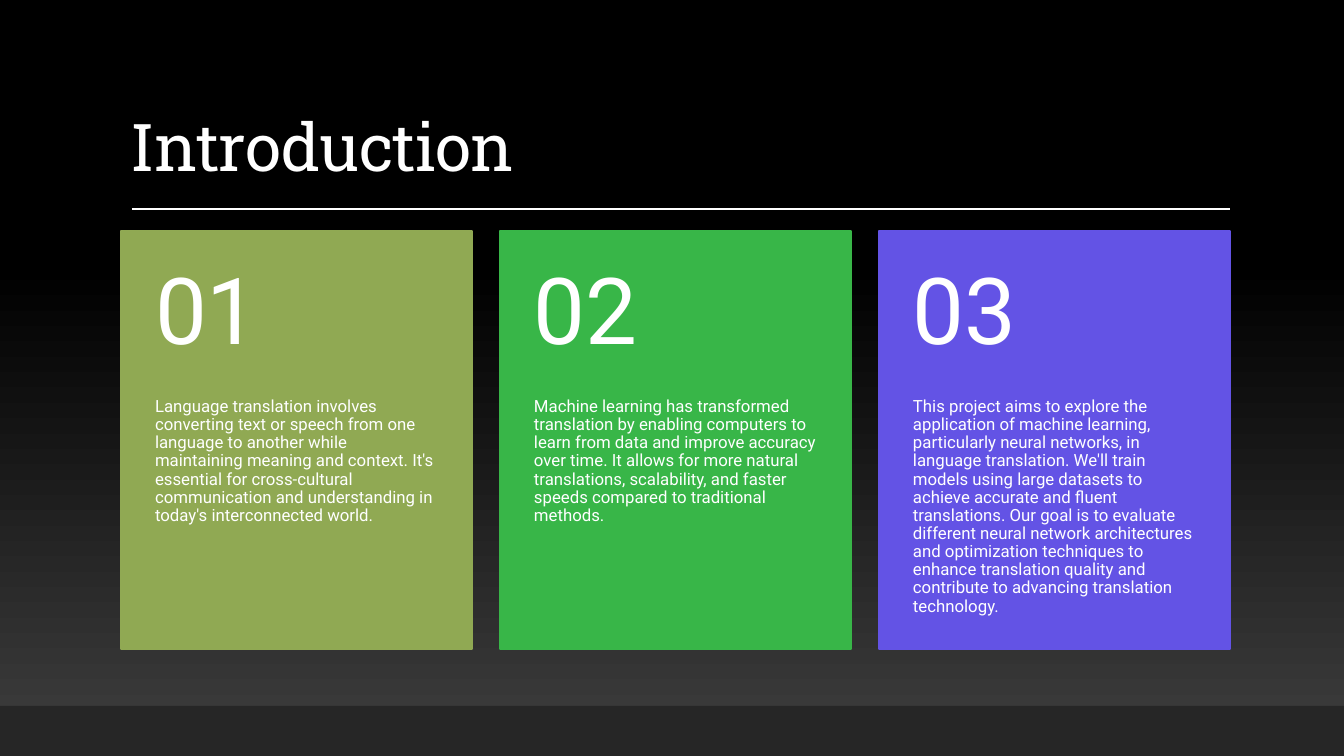
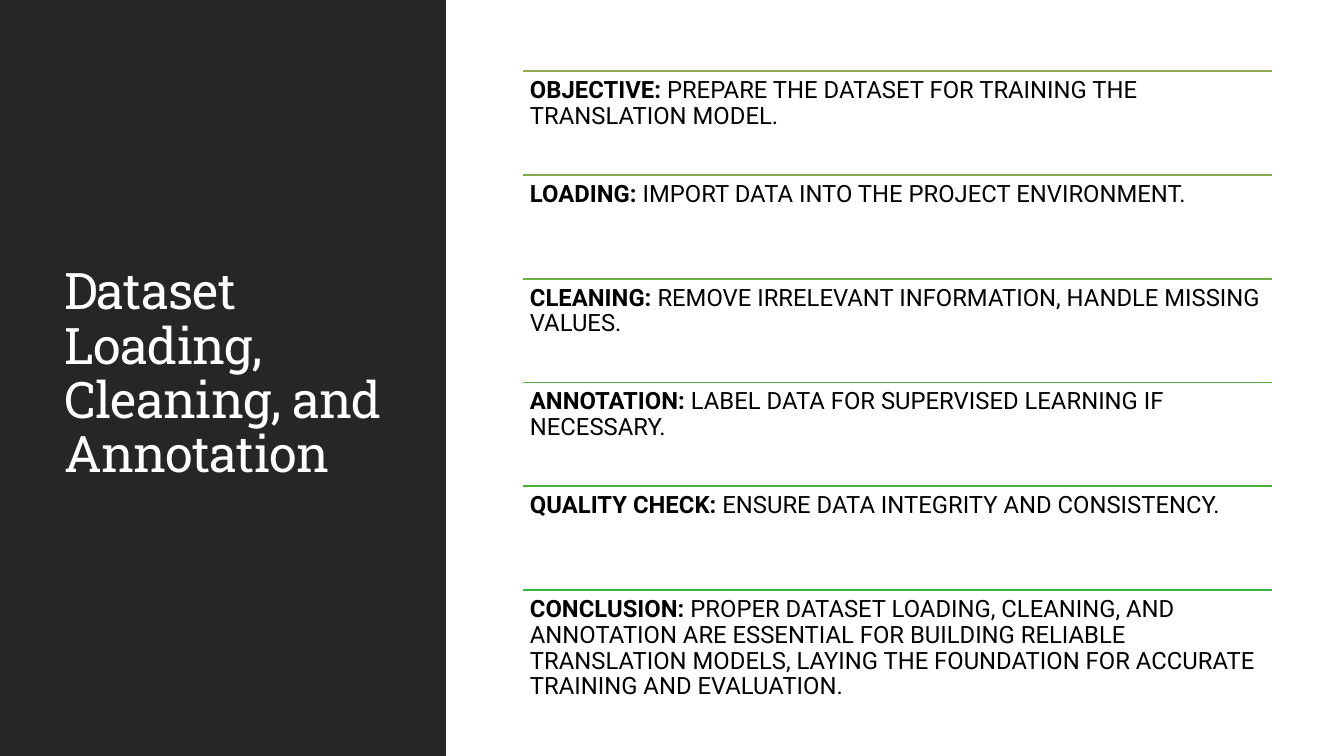
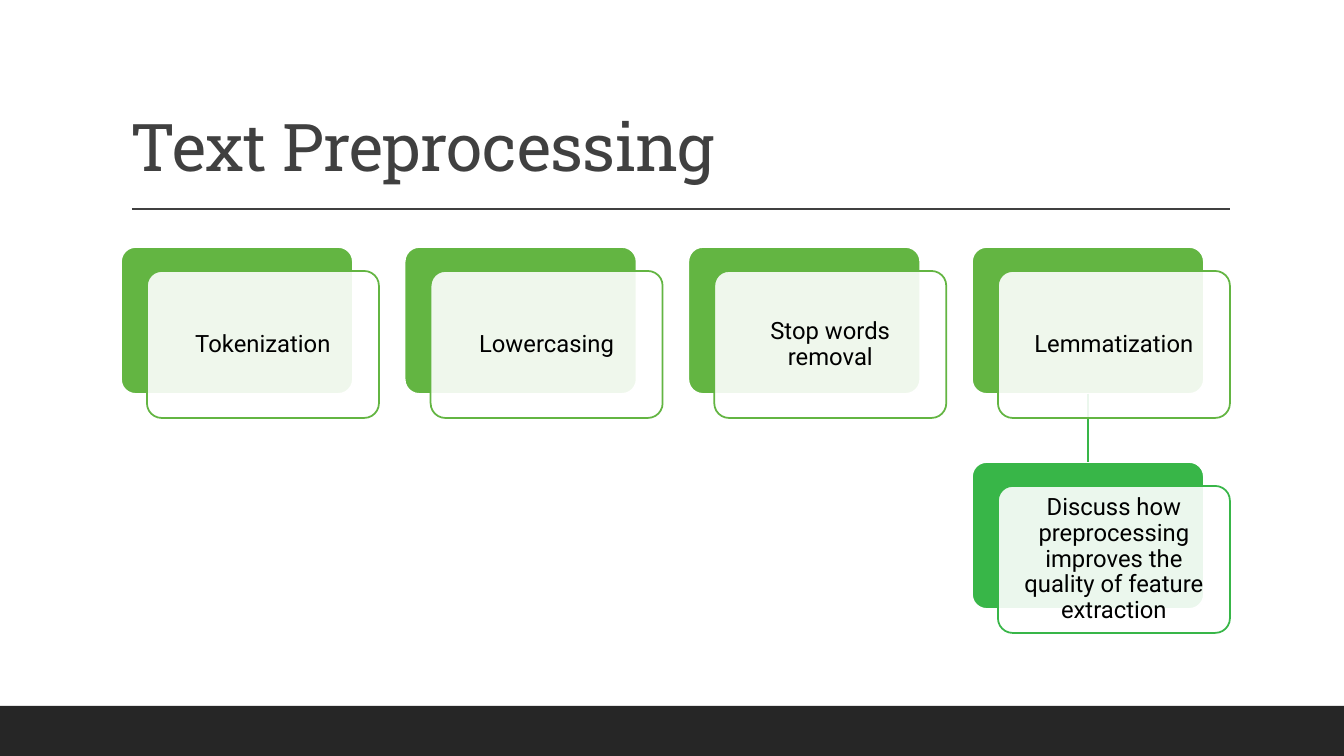
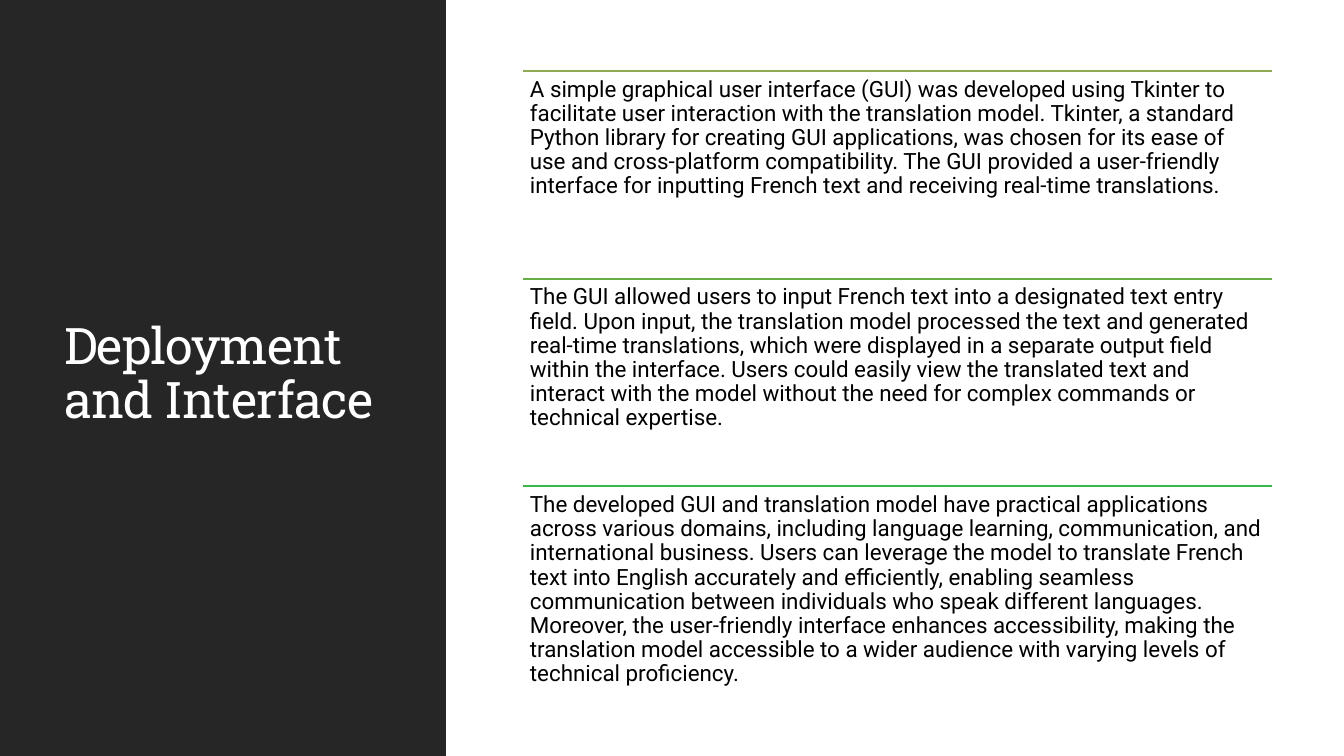
from pptx import Presentation
from pptx import util as u
from pptx.dml.color import RGBColor
from pptx.enum import shapes, text
from pptx.oxml.ns import qn
from lxml import etree

# Content
INTRO = [
    ("01", "olive", "Language translation involves converting text or speech from one language to another while "
     "maintaining meaning and context. It's essential for cross-cultural communication and understanding in "
     "today's interconnected world."),
    ("02", "green", "Machine learning has transformed translation by enabling computers to learn from data and "
     "improve accuracy over time. It allows for more natural translations, scalability, and faster speeds "
     "compared to traditional methods."),
    ("03", "violet", "This project aims to explore the application of machine learning, particularly neural "
     "networks, in language translation. We'll train models using large datasets to achieve accurate and fluent "
     "translations. Our goal is to evaluate different neural network architectures and optimization techniques "
     "to enhance translation quality and contribute to advancing translation technology."),
]
# Rows: line colour, bold lead, body
DATA = [
    ("olive", "OBJECTIVE:", " PREPARE THE DATASET FOR TRAINING THE TRANSLATION MODEL."),
    ("moss", "LOADING:", " IMPORT DATA INTO THE PROJECT ENVIRONMENT."),
    ("fern", "CLEANING:", " REMOVE IRRELEVANT INFORMATION, HANDLE MISSING VALUES."),
    ("grass", "ANNOTATION:", " LABEL DATA FOR SUPERVISED LEARNING IF NECESSARY."),
    ("jade", "QUALITY CHECK:", " ENSURE DATA INTEGRITY AND CONSISTENCY."),
    ("green", "CONCLUSION:", " PROPER DATASET LOADING, CLEANING, AND ANNOTATION ARE ESSENTIAL FOR BUILDING "
     "RELIABLE TRANSLATION MODELS, LAYING THE FOUNDATION FOR ACCURATE TRAINING AND EVALUATION."),
]
DEPLOY = [
    ("olive", "", "A simple graphical user interface (GUI) was developed using Tkinter to facilitate user "
     "interaction with the translation model. Tkinter, a standard Python library for creating GUI applications, "
     "was chosen for its ease of use and cross-platform compatibility. The GUI provided a user-friendly "
     "interface for inputting French text and receiving real-time translations."),
    ("leaf", "", "The GUI allowed users to input French text into a designated text entry field. Upon input, the "
     "translation model processed the text and generated real-time translations, which were displayed in a "
     "separate output field within the interface. Users could easily view the translated text and interact with "
     "the model without the need for complex commands or technical expertise."),
    ("green", "", "The developed GUI and translation model have practical applications across various domains, "
     "including language learning, communication, and international business. Users can leverage the model to "
     "translate French text into English accurately and efficiently, enabling seamless communication between "
     "individuals who speak different languages. Moreover, the user-friendly interface enhances accessibility, "
     "making the translation model accessible to a wider audience with varying levels of technical proficiency."),
]
# Steps: column, row, colour, label
STEPS = [
    (0, 0, "lime", "Tokenization"),
    (1, 0, "lime", "Lowercasing"),
    (2, 0, "lime", "Stop words removal"),
    (3, 0, "lime", "Lemmatization"),
    (3, 1, "green", "Discuss how preprocessing improves the quality of feature extraction"),
]

# Shared style
HUE = {
    "white": "FFFFFF", "black": "000000", "dark": "262626", "gray": "404040", "glow": "3F3F3F",
    "olive": "90A953", "moss": "81AC4D", "fern": "6EAF48", "leaf": "64B045", "grass": "59B142",
    "jade": "42B43D", "green": "38B648", "lime": "63B542", "violet": "6353E5",
}
BODY, HEAD = "Roboto", "Roboto Slab"
WIDE, HIGH = 1344, 756
SCALE = 12192000 / WIDE
LEFT, RIGHT = 121, 1230
RECT, ROUND = shapes.MSO_SHAPE.RECTANGLE, shapes.MSO_SHAPE.ROUNDED_RECTANGLE
TOP, MID, LOW = text.MSO_ANCHOR.TOP, text.MSO_ANCHOR.MIDDLE, text.MSO_ANCHOR.BOTTOM


def px(*vals):
    return [u.Emu(round(v * SCALE)) for v in vals]


def rgb(name):
    return RGBColor.from_string(HUE[name])


def block(slide, box, fill, line=None, kind=RECT):
    shape = slide.shapes.add_shape(kind, *px(*box))
    shape.shadow.inherit = False
    shape.fill.solid()
    shape.fill.fore_color.rgb = rgb(fill)
    if line:
        shape.line.color.rgb = rgb(line)
        shape.line.width = u.Pt(1.25)
    else:
        shape.line.fill.background()
    if kind == ROUND:
        shape.adjustments[0] = 0.1
    return shape


def rule(slide, ends, hue, width=1.25):
    line = slide.shapes.add_connector(shapes.MSO_CONNECTOR.STRAIGHT, *px(*ends))
    line.line.color.rgb = rgb(hue)
    line.line.width = u.Pt(width)
    etree.SubElement(line._element.spPr, qn("a:effectLst"))
    return line


def write(shape, words, size, hue, font=BODY, lead="", anchor=TOP, pad=(7, 7, 7, 7),
          align=text.PP_ALIGN.LEFT):
    frame = shape.text_frame
    frame.word_wrap = True
    frame.vertical_anchor = anchor
    (frame.margin_left, frame.margin_top,
     frame.margin_right, frame.margin_bottom) = px(*pad)
    para = frame.paragraphs[0]
    para.alignment = align
    para.line_spacing = 0.9
    for part in filter(None, (lead, words)):
        run = para.add_run()
        run.text = part
        run.font.name = font
        run.font.size = u.Pt(size)
        run.font.bold = part == lead
        run.font.color.rgb = rgb(hue)
    return para


def label(slide, box, *args, **opts):
    return write(slide.shapes.add_textbox(*px(*box)), *args, **opts)


def title(slide, box, words, size, hue, anchor):
    para = label(slide, box, words, size, hue, font=HEAD, anchor=anchor, pad=(10, 5, 10, 5))
    para.runs[0]._r.get_or_add_rPr().set("spc", "-50")


def banner(slide, words, hue):
    """Top title with a rule below and a band at the foot."""
    title(slide, (LEFT, 31, RIGHT - LEFT, 160), words, 47, hue, LOW)
    rule(slide, (132, 209, RIGHT, 209), hue, 1)
    block(slide, (0, 706, WIDE, HIGH - 706), "dark")


def cards(slide, words, items):
    fill = slide.background.fill
    fill.gradient()
    fill.gradient_angle = 90
    for stop, hue, spot in zip(fill.gradient_stops, ("glow", "black"), (0, 0.65)):
        stop.color.rgb = rgb(hue)
        stop.position = spot
    banner(slide, words, "white")
    wide, top, high, head = 351, 231, 418, 167
    step = (RIGHT - LEFT - wide) / (len(items) - 1)
    for i, (num, hue, body) in enumerate(items):
        x = LEFT + i * step
        block(slide, (x, top, wide, high), hue, hue)
        label(slide, (x, top + head, wide, high - head), body, 12, "white", pad=(34, 0, 34, 36))
        label(slide, (x, top, wide, head), num, 66, "white", anchor=MID, pad=(34, 18, 34, 18))


def rows(slide, words, items, size):
    """Dark side panel with a title, ruled rows on the right."""
    block(slide, (0, 0, 446, HIGH), "dark")
    title(slide, (54, 57, 340, 636), words, 36, "white", MID)
    x, top, wide = 523, 71, 749
    high = 623 / len(items)
    for i, (hue, lead, body) in enumerate(items):
        y = top + i * high
        rule(slide, (x, y, x + wide, y), hue)
        label(slide, (x, y, wide, high), body, size, "black", lead=lead)


def steps(slide, words, items):
    banner(slide, words, "gray")
    wide, high, dx, dy = 232, 147, 26, 24
    across, down = (RIGHT - LEFT - wide - dx) / 3, 215
    spots = [(LEFT + col * across, 247 + row * down) for col, row, _, _ in items]
    tabs = [block(slide, (x, y, wide, high), hue, "white", ROUND)
            for (x, y), (_, _, hue, _) in zip(spots, items)]
    # Link from the last step to its note, under the panels
    link = rule(slide, (0, 0, 0, 0), "green")
    link.begin_connect(tabs[3], 2)
    link.end_connect(tabs[4], 0)
    for (x, y), (_, _, hue, body) in zip(spots, items):
        panel = block(slide, (x + dx, y + dy, wide, high), "white", hue, ROUND)
        tint = panel._element.spPr.find(qn("a:solidFill"))[0]
        etree.SubElement(tint, qn("a:alpha")).set("val", "90000")
        write(panel, body, 17, "black", anchor=MID, align=text.PP_ALIGN.CENTER)


def main():
    deck = Presentation()
    deck.slide_width, deck.slide_height = px(WIDE, HIGH)
    plan = [
        (cards, "Introduction", INTRO),
        (rows, "Dataset Loading, Cleaning, and Annotation", DATA, 17),
        (steps, "Text Preprocessing", STEPS),
        (rows, "Deployment and Interface", DEPLOY, 16),
    ]
    for draw, *args in plan:
        draw(deck.slides.add_slide(deck.slide_layouts[6]), *args)
    deck.save("out.pptx")


if __name__ == "__main__":
    main()
